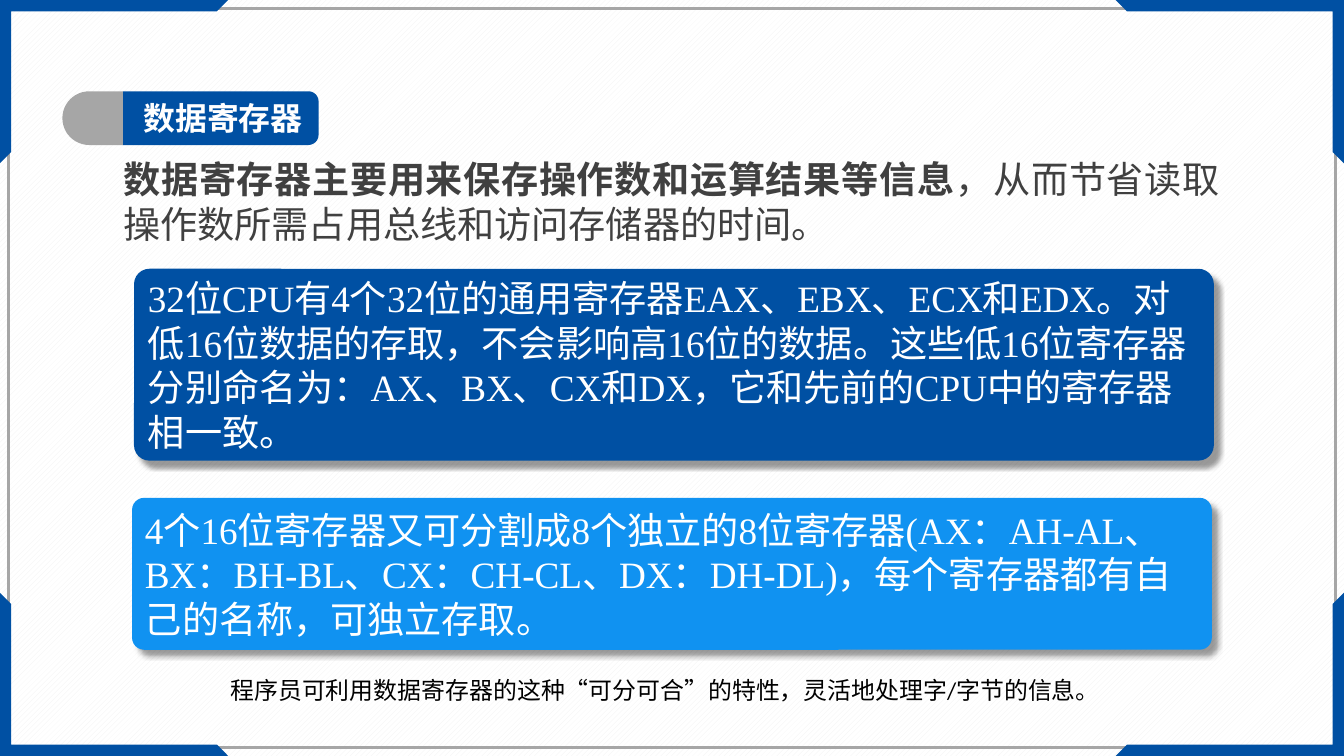
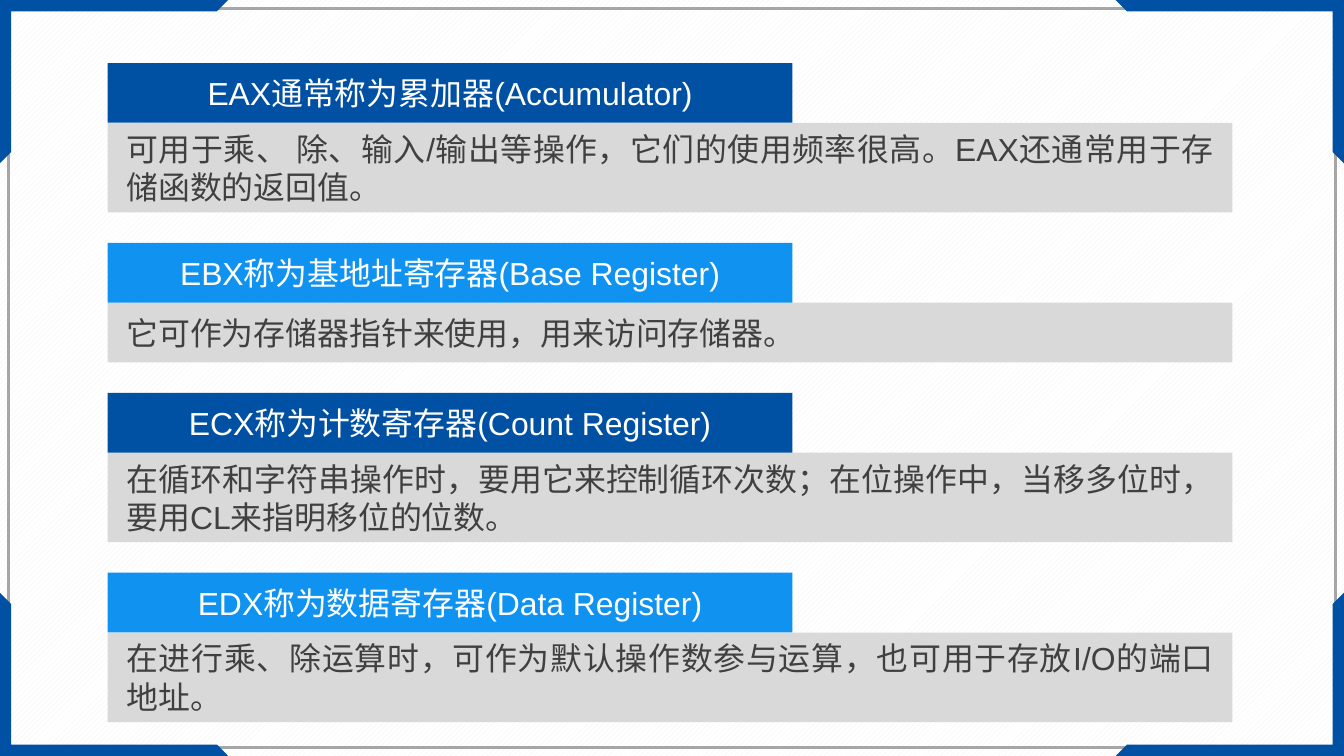
import dataclasses

import lxml.etree
import pptx
import pptx.dml.color
import pptx.enum.dml
import pptx.enum.lang
import pptx.enum.shapes
import pptx.enum.text
import pptx.oxml.ns
import pptx.util

Pt = pptx.util.Pt
RGB = pptx.dml.color.RGBColor.from_string
qn = pptx.oxml.ns.qn
Preset = pptx.enum.shapes.MSO_SHAPE
Align = pptx.enum.text.PP_ALIGN
Anchor = pptx.enum.text.MSO_ANCHOR


@dataclasses.dataclass(frozen=True)
class Theme:
    navy = RGB("0050A3")
    sky = RGB("1092F1")
    gray = RGB("A6A6A6")
    panel = RGB("D9D9D9")
    hatch = RGB("F2F2F2")
    white = RGB("FFFFFF")
    black = RGB("000000")
    ink = RGB("404040")
    chinese = "Noto Sans CJK SC"
    serif = "Times New Roman"
    sans = "Arial"
    note_font = "Calibri"
    lead_size = 28
    heading_size = 24
    note_size = 18
    line_ratio = 1.2


theme = Theme()
WIDTH, HEIGHT = 1012.5, 569.5


def write_text(shape, text, plain_tail="", size=theme.heading_size, font=theme.sans,
               color=theme.white, bold=False, align=Align.LEFT, anchor=Anchor.MIDDLE,
               inset=(7.2, 3.6)):
    """Fill a shape with one paragraph; plain_tail follows text without bold."""
    frame = shape.text_frame
    frame.word_wrap = True
    frame.auto_size = pptx.enum.text.MSO_AUTO_SIZE.NONE
    frame.vertical_anchor = anchor
    frame.margin_left = frame.margin_right = Pt(inset[0])
    frame.margin_top = frame.margin_bottom = Pt(inset[1])
    paragraph = frame.paragraphs[0]
    paragraph.alignment = align
    paragraph.line_spacing = Pt(round(size * theme.line_ratio, 1))
    paragraph.space_before = Pt(0)
    for content, is_bold in ((text, bold), (plain_tail, False)):
        if content:
            run = paragraph.add_run()
            run.text = content
            run.font.size = Pt(size)
            run.font.bold = is_bold
            run.font.name = font
            run.font.color.rgb = color
            run.font.language_id = pptx.enum.lang.MSO_LANGUAGE_ID.SIMPLIFIED_CHINESE
            east_asian = lxml.etree.SubElement(run._r.get_or_add_rPr(), qn("a:ea"))
            east_asian.set("typeface", theme.chinese)
    return paragraph


def add_box(slide, preset, left, top, width, height, color):
    """Add a flat filled shape without outline or shadow."""
    shape = slide.shapes.add_shape(preset, Pt(left), Pt(top), Pt(width), Pt(height))
    shape.shadow.inherit = False
    shape.fill.solid()
    shape.fill.fore_color.rgb = color
    shape.line.fill.background()
    return shape


presentation = pptx.Presentation()
presentation.slide_width, presentation.slide_height = Pt(WIDTH), Pt(HEIGHT)
master = presentation.slide_master
data_slide = presentation.slides.add_slide(presentation.slide_layouts[1])
register_slide = presentation.slides.add_slide(presentation.slide_layouts[6])

# Master: hatched background
background = master.background.fill
background.patterned()
background.pattern = pptx.enum.dml.MSO_PATTERN.WIDE_UPWARD_DIAGONAL
background.fore_color.rgb = theme.hatch
background.back_color.rgb = theme.white

# Master: thin frame and four mirrored corner brackets
margin = 6.5
border = add_box(data_slide, Preset.RECTANGLE, margin, margin,
                 WIDTH - 2 * margin, HEIGHT - 2 * margin, theme.white)
border.fill.background()
border.line.color.rgb = theme.gray
border.line.width = Pt(2)
frame_parts = [border]

arm_x, arm_y, thick = 172, 123, 8.5
bracket = [(0, 0), (arm_x, 0), (arm_x - thick, thick), (thick, thick),
           (thick, arm_y - thick), (0, arm_y)]
for flip_x in (False, True):
    for flip_y in (False, True):
        points = [(Pt(WIDTH - x if flip_x else x), Pt(HEIGHT - y if flip_y else y))
                  for x, y in bracket]
        builder = data_slide.shapes.build_freeform(*points[0])
        builder.add_line_segments(points[1:], close=True)
        corner = builder.convert_to_shape()
        corner.shadow.inherit = False
        corner.fill.solid()
        corner.fill.fore_color.rgb = theme.navy
        corner.line.fill.background()
        frame_parts.append(corner)

for number, part in enumerate(frame_parts):
    part.element.nvSpPr.cNvPr.set("id", str(100 + number))
    master.element.cSld.spTree.insert(2 + number, part.element)

# Slide 1: title badge, two half-rounded shapes turned on their sides
badge_middle, badge_height = 89, 40.5
for left, width, color, rotation, rounding in ((92.5, 147.5, theme.navy, 90, 0.19),
                                               (47, 45.5, theme.gray, 270, 0.5)):
    badge = add_box(data_slide, Preset.ROUND_2_SAME_RECTANGLE,
                    left + (width - badge_height) / 2, badge_middle - width / 2,
                    badge_height, width, color)
    badge.rotation = rotation
    badge.adjustments[0] = rounding
    badge.adjustments[1] = 0

title, lead = data_slide.shapes.title, data_slide.placeholders[1]
title.left, title.top, title.width, title.height = Pt(97), Pt(69), Pt(150), Pt(40.5)
write_text(title, "数据寄存器", font=theme.serif, bold=True, anchor=Anchor.TOP, inset=(11, 5.5))
title.element.getparent().append(title.element)

# Slide 1: lead paragraph
lead.left, lead.top, lead.width, lead.height = Pt(86.5), Pt(114.5), Pt(839), Pt(75)
paragraph = write_text(
    lead, "数据寄存器主要用来保存操作数和运算结果等信息",
    plain_tail="，从而节省读取操作数所需占用总线和访问存储器的时间。",
    size=theme.lead_size, font=theme.chinese, color=theme.ink, bold=True,
    align=Align.JUSTIFY, anchor=Anchor.TOP, inset=(6.5, 3.6))
properties = paragraph._p.get_or_add_pPr()
properties.set("marL", "0")
properties.set("indent", "0")
lxml.etree.SubElement(properties, qn("a:buNone"))

# Slide 1: two cards with a soft shadow
cards = (
    (101, 202.5, 144.5, theme.navy,
     "32位CPU有4个32位的通用寄存器EAX、EBX、ECX和EDX。对低16位数据的存取，不会影响高16位的数据。"
     "这些低16位寄存器分别命名为：AX、BX、CX和DX，它和先前的CPU中的寄存器相一致。"),
    (99.5, 375, 114.5, theme.sky,
     "4个16位寄存器又可分割成8个独立的8位寄存器(AX：AH-AL、BX：BH-BL、CX：CH-CL、DX：DH-DL)，"
     "每个寄存器都有自己的名称，可独立存取。"),
)
for left, top, height, color, text in cards:
    card = add_box(data_slide, Preset.ROUNDED_RECTANGLE, left, top, 813.5, height, color)
    card.adjustments[0] = 0.08
    write_text(card, text, size=theme.lead_size, font=theme.serif)
    effects = card.element.spPr.find(qn("a:effectLst"))
    shadow = lxml.etree.SubElement(effects, qn("a:outerShdw"), blurRad=str(Pt(4)),
                                   dist=str(Pt(6)), dir="2700000", algn="tl", rotWithShape="0")
    tint = lxml.etree.SubElement(shadow, qn("a:srgbClr"), val=str(theme.black))
    lxml.etree.SubElement(tint, qn("a:alpha"), val="40000")

# Slide 1: closing note
note = data_slide.shapes.add_textbox(Pt(166.5), Pt(505.5), Pt(720), Pt(29))
write_text(note, "程序员可利用数据寄存器的这种“可分可合”的特性，灵活地处理字/字节的信息。",
           size=theme.note_size, font=theme.note_font, color=theme.black, anchor=Anchor.TOP)

# Slide 2: stacked heading bars, each with its description panel
one_line, two_lines = 45, 67.5
registers = (
    ("EAX通常称为累加器(Accumulator)", two_lines,
     "可用于乘、 除、输入/输出等操作，它们的使用频率很高。EAX还通常用于存储函数的返回值。"),
    ("EBX称为基地址寄存器(Base Register)", one_line,
     "它可作为存储器指针来使用，用来访问存储器。"),
    ("ECX称为计数寄存器(Count Register)", two_lines,
     "在循环和字符串操作时，要用它来控制循环次数；在位操作中，当移多位时，要用CL来指明移位的位数。"),
    ("EDX称为数据寄存器(Data Register)", two_lines,
     "在进行乘、除运算时，可作为默认操作数参与运算，也可用于存放I/O的端口地址。"),
)
left, top, bar_height, gap = 81, 47.5, 45, 23
for index, (heading, panel_height, description) in enumerate(registers):
    panel = add_box(register_slide, Preset.RECTANGLE, left, top + bar_height,
                    847.5, panel_height, theme.panel)
    write_text(panel, description, color=theme.ink, align=Align.JUSTIFY, inset=(14.2, 3.6))
    bar = add_box(register_slide, Preset.RECTANGLE, left, top, 516, bar_height,
                  (theme.navy, theme.sky)[index % 2])
    write_text(bar, heading, align=Align.CENTER)
    top += bar_height + panel_height + gap

presentation.save("out.pptx")
